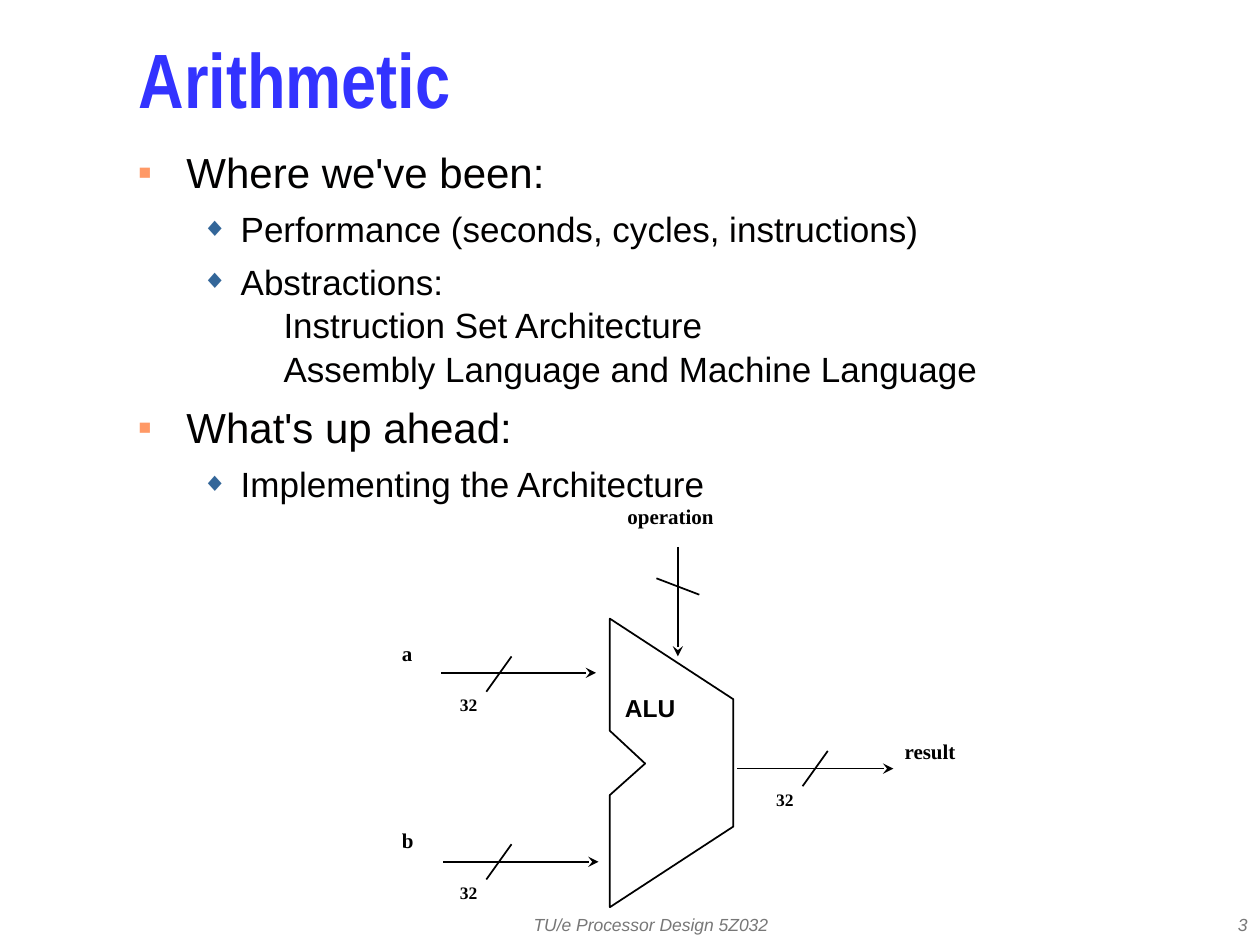
from lxml import etree
from pptx import Presentation
from pptx.dml.color import RGBColor
from pptx.enum import shapes, text
from pptx.oxml import ns
from pptx.util import Inches, Pt

BLACK = RGBColor(0, 0, 0)
BODY = RGBColor(0x01, 0, 0)
BLUE = RGBColor(0x33, 0x33, 0xFF)
GRAY = RGBColor(0x77, 0x77, 0x77)

# Content
TITLE = "Arithmetic"
OUTLINE = [
    (0, "Where we've been:"),
    (1, "Performance (seconds, cycles, instructions)"),
    (1, "Abstractions:\v\tInstruction Set Architecture"
        "\v\tAssembly Language and Machine Language"),
    (0, "What's up ahead:"),
    (1, "Implementing the Architecture"),
]
# Per level: bullet, colour, bullet size %, left margin, hanging, text size, space before
LEVELS = [
    ("■", "FF9966", 50, 0.38, 0.38, 24, 6),
    ("◆", "336699", 75, 0.81, 0.31, 20, 5),
]
SUBLINE_TAB = 1.15
ALU_OUTLINE = [(4.84, 4.91), (4.84, 5.8), (5.12, 6.06), (4.84, 6.31),
               (4.84, 7.2), (5.82, 6.56), (5.82, 5.55)]
# Data buses: name, name position, arrow start, arrow length, slash top
BUSES = [
    ("a", (3.17, 5), (3.5, 5.34), 1.23, (4.06, 5.21)),
    ("b", (3.17, 6.49), (3.52, 6.84), 1.23, (4.06, 6.7)),
    ("result", (7.16, 5.78), (5.85, 6.1), 1.24, (6.57, 5.96)),
]
BUS_WIDTH = "32"
FOOTER = "TU/e Processor Design 5Z032"
PAGE = "3"

prs = Presentation()
prs.slide_width, prs.slide_height = Inches(10), Inches(7.5)
slide = prs.slides.add_slide(prs.slide_layouts[1])


def place(shape, left, top, width, height):
    shape.left, shape.top = Inches(left), Inches(top)
    shape.width, shape.height = Inches(width), Inches(height)


def style(paragraph, size, color, name="Arial", bold=False, italic=False):
    font = paragraph.font
    font.size, font.name, font.bold, font.italic = Pt(size), name, bold, italic
    font.color.rgb = color


def add_child(parent, tag, **attributes):
    return etree.SubElement(parent, ns.qn(tag), attributes)


def add_bullet(paragraph, char, color, percent, margin, hanging):
    props = paragraph._p.get_or_add_pPr()
    props.set("marL", str(Inches(margin)))
    props.set("indent", str(-Inches(hanging)))
    add_child(add_child(props, "a:buClr"), "a:srgbClr", val=color)
    add_child(props, "a:buSzPct", val=str(percent * 1000))
    add_child(props, "a:buFont", typeface="Arial")
    add_child(props, "a:buChar", char=char)
    tabs = add_child(props, "a:tabLst")
    add_child(tabs, "a:tab", pos=str(Inches(SUBLINE_TAB)), algn="l")


def add_line(start, end, arrow=False):
    line = slide.shapes.add_connector(
        shapes.MSO_CONNECTOR.STRAIGHT, *map(Inches, start + end))
    line.line.color.rgb = BLACK
    line.line.width = Pt(1)
    if arrow:
        add_child(line.line._get_or_add_ln(), "a:tailEnd", type="stealth")
    add_child(line._element.spPr, "a:effectLst")


def add_label(words, left, top, width, height, size, spacing, name="Times New Roman"):
    frame = slide.shapes.add_textbox(
        *map(Inches, (left, top, width, height))).text_frame
    frame.word_wrap = True
    frame.margin_left = frame.margin_right = Inches(0.02)
    frame.margin_top = frame.margin_bottom = Inches(0.03)
    label = frame.paragraphs[0]
    label.text = words
    label.line_spacing = Pt(spacing)
    style(label, size, BLACK, name, bold=True)


def add_footer(words, left, width, align):
    frame = slide.shapes.add_textbox(
        *map(Inches, (left, 7.17, width, 0.33))).text_frame
    frame.word_wrap = True
    frame.vertical_anchor = text.MSO_ANCHOR.MIDDLE
    footer = frame.paragraphs[0]
    footer.text = words
    footer.alignment = align
    style(footer, 10, GRAY, italic=True)


# Title
title = slide.shapes.title
place(title, 1, 0.17, 8.58, 1.08)
title.text_frame.auto_size = text.MSO_AUTO_SIZE.NONE
title.text_frame.vertical_anchor = text.MSO_ANCHOR.MIDDLE
heading = title.text_frame.paragraphs[0]
heading.text = TITLE
heading.alignment = text.PP_ALIGN.LEFT
heading.line_spacing = 0.7
style(heading, 44, BLUE, "Arial Narrow", bold=True)

# Outline
body = slide.placeholders[1]
place(body, 1, 1.1, 8.58, 5.15)
body.text_frame.auto_size = text.MSO_AUTO_SIZE.NONE
for index, (level, words) in enumerate(OUTLINE):
    item = body.text_frame.add_paragraph() if index else body.text_frame.paragraphs[0]
    item.text = words
    item.level = level
    *bullet, size, before = LEVELS[level]
    add_bullet(item, *bullet)
    item.line_spacing = 1.04
    item.space_before = Pt(before if index else 0)
    style(item, size, BODY)

# ALU block
builder = slide.shapes.build_freeform(*map(Inches, ALU_OUTLINE[0]))
builder.add_line_segments([tuple(map(Inches, point)) for point in ALU_OUTLINE[1:]])
alu = builder.convert_to_shape()
alu.shadow.inherit = False
alu.fill.background()
alu.line.color.rgb = BLACK
alu.line.width = Pt(1)
add_label("ALU", 4.94, 5.48, 1.14, 0.41, 14, 16, "Arial")

# Data buses with slash and width
for name, (name_x, name_y), (x, y), length, (slash_x, slash_y) in BUSES:
    add_line((x, y), (x + length, y), arrow=True)
    add_line((slash_x, slash_y), (slash_x - 0.2, slash_y + 0.28))
    add_label(BUS_WIDTH, slash_x - 0.43, slash_y + 0.27, 0.94, 0.36, 10, 12)
    add_label(name, name_x, name_y, 1.26, 0.66, 12, 18)

# Operation input
add_line((5.38, 4.34), (5.38, 5.21), arrow=True)
add_line((5.21, 4.59), (5.55, 4.72))
add_label("operation", 4.96, 3.92, 1.88, 0.66, 12, 18)

# Footer
add_footer(FOOTER, 3.58, 3.17, text.PP_ALIGN.CENTER)
add_footer(PAGE, 7.92, 2.08, text.PP_ALIGN.RIGHT)

prs.save("out.pptx")
